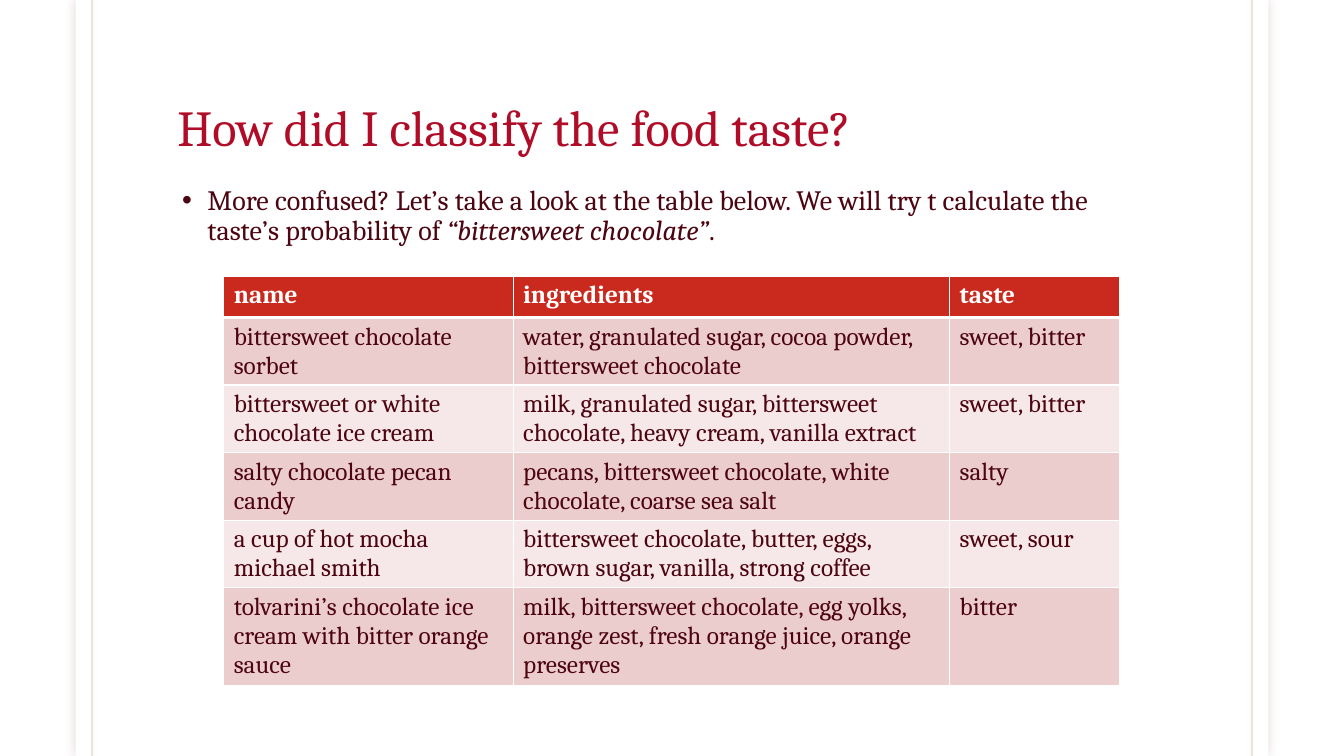
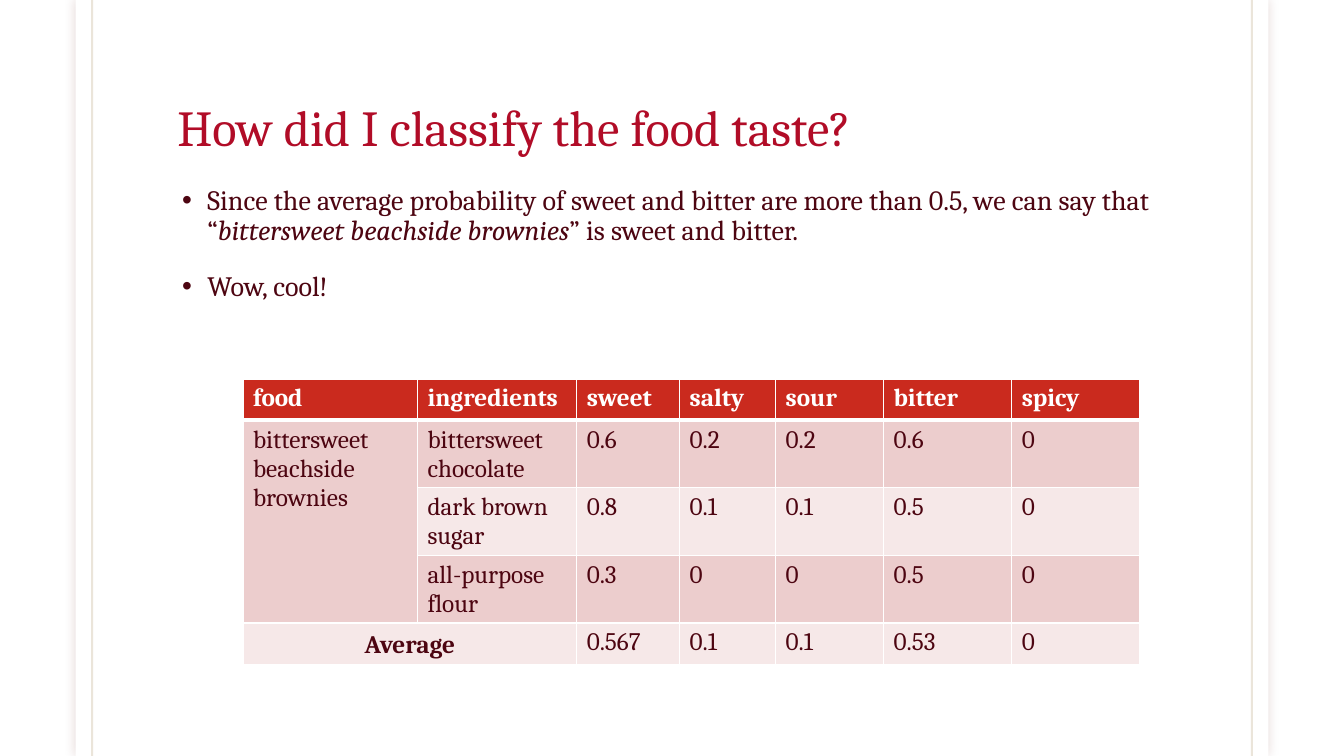
"""Builds two slides that explain how food tastes were classified."""
from lxml.etree import SubElement
from pptx import Presentation
from pptx.dml.color import RGBColor
from pptx.enum.shapes import MSO_CONNECTOR, MSO_SHAPE
from pptx.enum.text import MSO_ANCHOR, MSO_AUTO_SIZE, PP_ALIGN
from pptx.oxml.ns import qn
from pptx.util import Inches, Pt

RECT = MSO_SHAPE.RECTANGLE
LINE = MSO_CONNECTOR.STRAIGHT
LEFT, CENTER = PP_ALIGN.LEFT, PP_ALIGN.CENTER
MIDDLE, BOTTOM = MSO_ANCHOR.MIDDLE, MSO_ANCHOR.BOTTOM
NO_FIT = MSO_AUTO_SIZE.NONE

HEX = {
    "white": "FFFFFF", "title": "B10C27", "text": "4D0511", "head": "CA2A1E",
    "odd": "ECCDCD", "even": "F6E8E8", "rule": "79540B", "shade": "65150F",
}
FONT = "Cambria"
TITLE = "How did I classify the food taste?"


def color(name):
    return RGBColor.from_string(HEX[name])


def add(parent, tag, **attrs):
    return SubElement(parent, qn(tag), {k: str(v) for k, v in attrs.items()})


class Deck:
    def __init__(self):
        self.prs = Presentation()
        self.prs.slide_width, self.prs.slide_height = Inches(13.33), Inches(7.5)
        self.slide = None

    def x(self, cols):
        return round(self.prs.slide_width * cols / 100)

    def y(self, rows):
        return round(self.prs.slide_height * rows / 100)

    def box(self, x, y, w, h):
        return self.x(x), self.y(y), self.x(w), self.y(h)

    def style(self, par, size, tint, bold=False):
        font = par.font
        font.name, font.size, font.bold = FONT, Pt(size), bold
        font.color.rgb = color(tint)

    def new(self, title):
        self.slide = self.prs.slides.add_slide(self.prs.slide_layouts[5])
        self.panel(5.63)
        for x in (6.85, 93.15):
            self.rule(x)
        self.title(title)

    def panel(self, edge):
        shape = self.slide.shapes.add_shape(RECT, *self.box(edge, 0, 100 - 2 * edge, 100))
        shape.fill.solid()
        shape.fill.fore_color.rgb = color("white")
        shape.line.fill.background()
        shape.shadow.inherit = False
        glow = add(shape.element.spPr.find(qn("a:effectLst")), "a:outerShdw",
                   blurRad=Pt(7), dist=0, dir=0, algn="ctr", rotWithShape=0)
        add(add(glow, "a:srgbClr", val=HEX["shade"]), "a:alpha", val=15000)

    def rule(self, x):
        line = self.slide.shapes.add_connector(LINE, self.x(x), 0, self.x(x), self.y(100))
        line.line.width = Pt(1.5)
        line.line.color.rgb = color("rule")
        props = line.element.spPr
        add(props.find(".//" + qn("a:srgbClr")), "a:alpha", val=15000)
        add(props, "a:effectLst")

    def title(self, text):
        shapes = self.slide.shapes
        title = shapes.title
        shapes.element.append(title.element)
        title.left, title.top, title.width, title.height = self.box(12.45, 4.67, 75, 16.67)
        frame = title.text_frame
        frame.text = text
        frame.auto_size, frame.vertical_anchor = NO_FIT, BOTTOM
        par = frame.paragraphs[0]
        par.alignment, par.line_spacing = LEFT, 0.85
        self.style(par, 36, "title")

    def bullets(self, items):
        frame = self.slide.shapes.add_textbox(*self.box(12.45, 24, 75, 66)).text_frame
        frame.word_wrap = True
        for i, item in enumerate(items):
            par = frame.add_paragraph() if i else frame.paragraphs[0]
            par.line_spacing, par.space_before = 0.9, Pt(18)
            props = par._p.get_or_add_pPr()
            props.set("marL", str(Inches(0.3)))
            props.set("indent", str(Inches(-0.25)))
            add(add(props, "a:buClr"), "a:srgbClr", val=HEX["text"])
            add(props, "a:buFont", typeface="Arial")
            add(props, "a:buChar", char="•")
            self.style(par, 20, "text")
            for j, part in enumerate(item.split("*")):
                run = par.add_run()
                run.text = part
                if j % 2:
                    run.font.italic = True

    def table(self, x, y, widths, rows, spans=()):
        high = 5.47
        area = self.box(x, y, sum(widths), high * len(rows))
        table = self.slide.shapes.add_table(len(rows), len(widths), *area).table
        table.horz_banding = False
        for col, width in zip(table.columns, widths):
            col.width = self.x(width)
        for i, row in enumerate(rows):
            table.rows[i].height = self.y(high)
            for j, text in enumerate(row):
                self.cell(table.cell(i, j), i, text)
        for start, end in spans:
            table.cell(*start).merge(table.cell(*end))
        return table

    def cell(self, cell, row, text):
        cell.text = text
        cell.margin_bottom = Inches(0.02)
        self.style(cell.text_frame.paragraphs[0], 18, "text" if row else "white", not row)
        props = cell._tc.get_or_add_tcPr()
        thick = {"a:lnT": row == 1, "a:lnB": row == 0}
        for side in ("a:lnL", "a:lnR", "a:lnT", "a:lnB"):
            line = add(props, side, w=Pt(3 if thick.get(side) else 1))
            add(add(line, "a:solidFill"), "a:srgbClr", val=HEX["white"])
        cell.fill.solid()
        cell.fill.fore_color.rgb = color(("even", "odd")[row % 2] if row else "head")

    def total(self, cell):
        cell.vertical_anchor = MIDDLE
        par = cell.text_frame.paragraphs[0]
        par.alignment, par.font.bold = CENTER, True


def main():
    deck = Deck()

    deck.new(TITLE)
    deck.bullets([
        "More confused? Let’s take a look at the table below. We will try t calculate "
        "the taste’s probability of *“bittersweet chocolate”*.",
    ])
    deck.table(16.65, 36.53, (21.53, 32.48, 12.68), [
        ("name", "ingredients", "taste"),
        ("bittersweet chocolate sorbet",
         "water, granulated sugar, cocoa powder, bittersweet chocolate", "sweet, bitter"),
        ("bittersweet or white chocolate ice cream",
         "milk, granulated sugar, bittersweet chocolate, heavy cream, vanilla extract",
         "sweet, bitter"),
        ("salty chocolate pecan candy",
         "pecans, bittersweet chocolate, white chocolate, coarse sea salt", "salty"),
        ("a cup of hot mocha michael smith",
         "bittersweet chocolate, butter, eggs, brown sugar, vanilla, strong coffee",
         "sweet, sour"),
        ("tolvarini’s chocolate ice cream with bitter orange sauce",
         "milk, bittersweet chocolate, egg yolks, orange zest, fresh orange juice, "
         "orange preserves", "bitter"),
    ])

    deck.new(TITLE)
    deck.bullets([
        "Since the average probability of sweet and bitter are more than 0.5, we can say "
        "that “*bittersweet beachside brownies*” is sweet and bitter.",
        "Wow, cool!",
    ])
    scores = deck.table(18.08, 50.13, (12.98, 11.85, 7.66, 7.14, 8.04, 9.53, 9.53), [
        ("food", "ingredients", "sweet", "salty", "sour", "bitter", "spicy"),
        ("bittersweet beachside brownies", "bittersweet chocolate",
         "0.6", "0.2", "0.2", "0.6", "0"),
        ("", "dark brown sugar", "0.8", "0.1", "0.1", "0.5", "0"),
        ("", "all-purpose flour", "0.3", "0", "0", "0.5", "0"),
        ("Average", "", "0.567", "0.1", "0.1", "0.53", "0"),
    ], spans=[((1, 0), (3, 0)), ((4, 0), (4, 1))])
    deck.total(scores.cell(4, 0))

    deck.prs.save("out.pptx")


if __name__ == "__main__":
    main()
